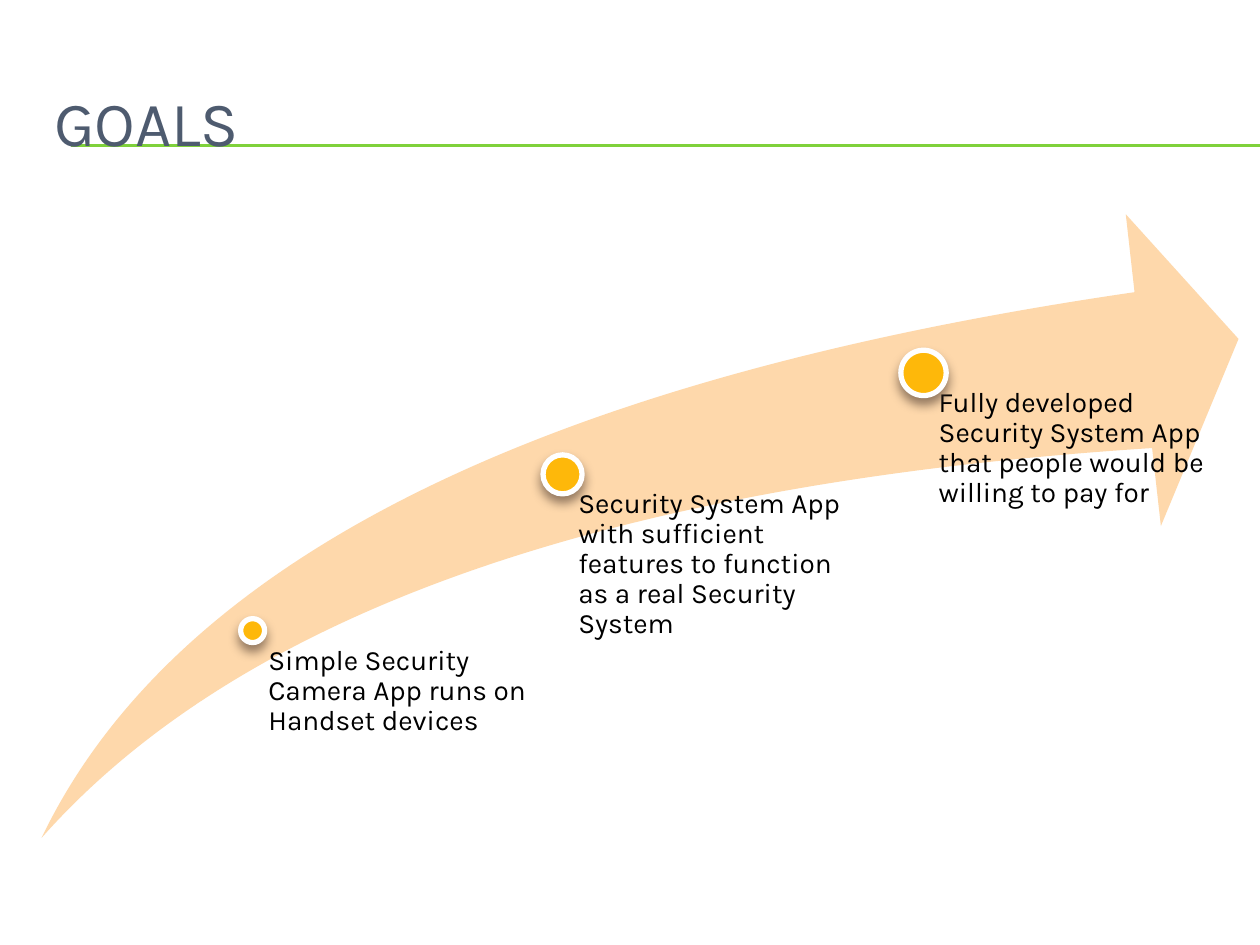
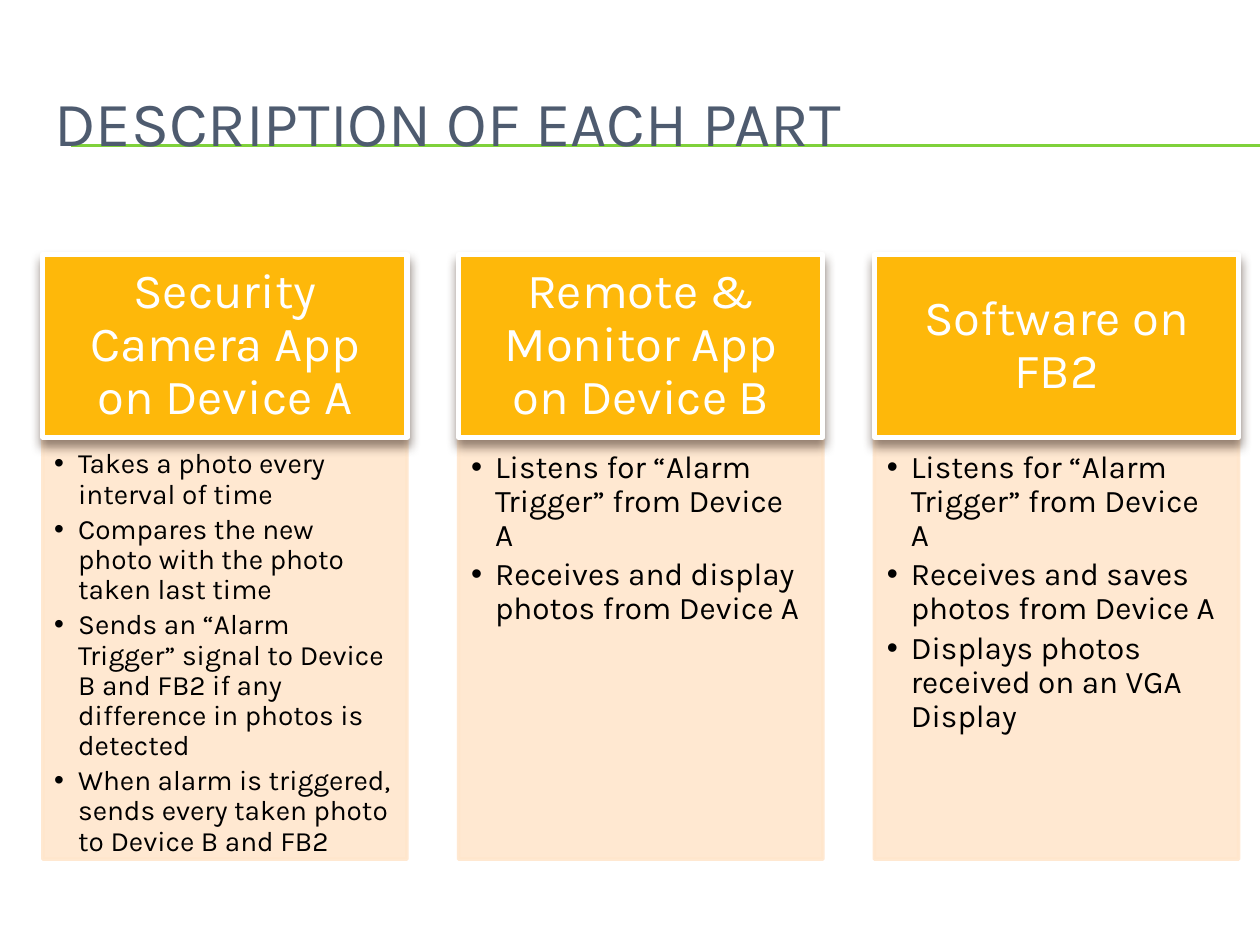
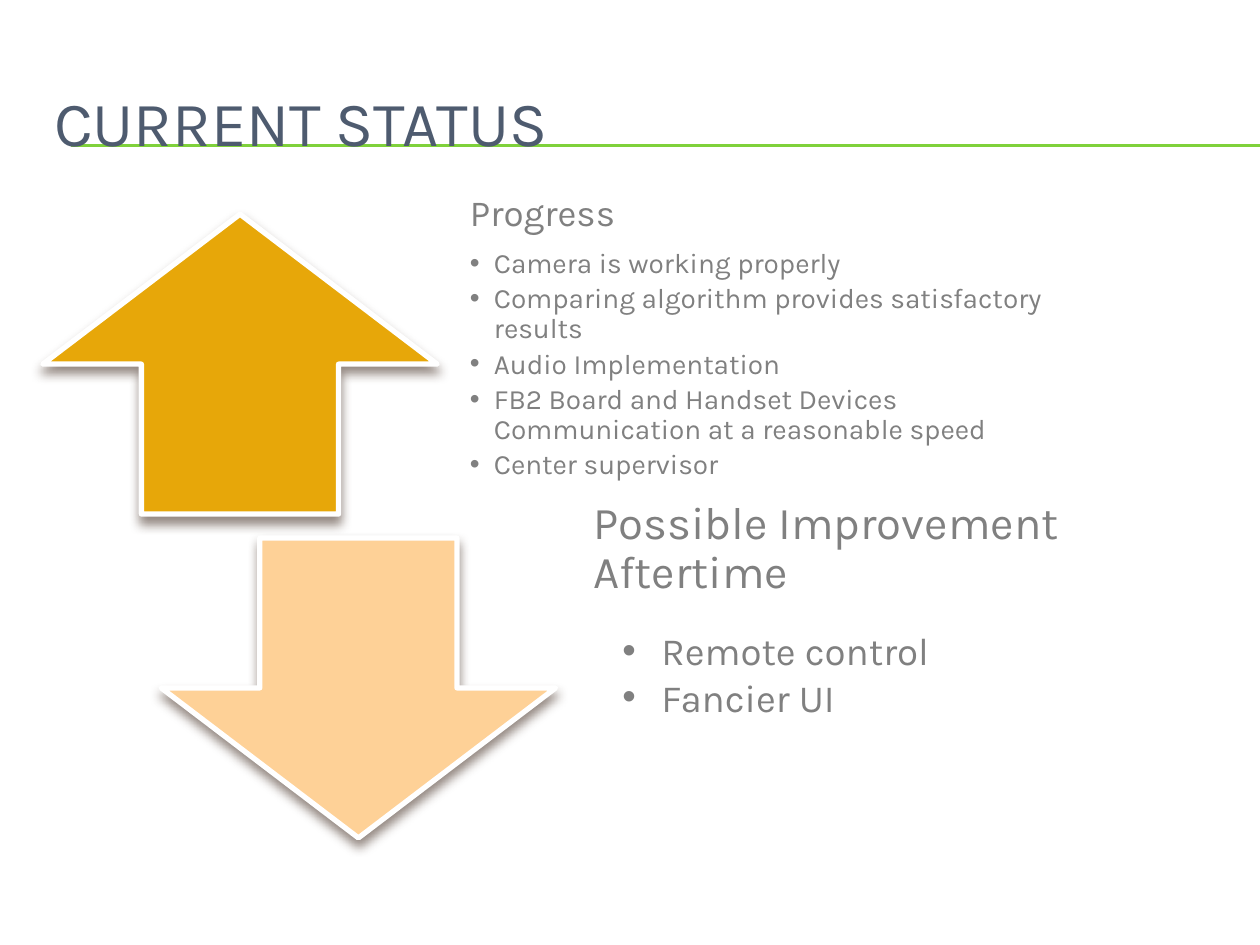
from dataclasses import dataclass

from lxml.etree import SubElement
from pptx import Presentation
from pptx.dml.color import RGBColor
from pptx.enum.shapes import MSO_CONNECTOR, MSO_SHAPE
from pptx.enum.text import MSO_ANCHOR, PP_ALIGN
from pptx.oxml.ns import qn
from pptx.util import Inches, Pt


@dataclass(frozen=True)
class Theme:
    font: str = "Karla"
    title: str = "4E5B6F"
    rule: str = "7FD13B"
    accent: str = "FEB80A"
    swoosh: str = "FED8AB"
    panel: str = "FFE6CC"
    up: str = "E7A709"
    down: str = "FED197"
    shadow: str = "4E3B30"
    ink: str = "000000"
    muted: str = "808080"
    white: str = "FFFFFF"
    title_size: int = 36
    header_size: int = 28
    subhead_size: int = 26
    list_size: int = 22
    lead_size: int = 21
    text_size: int = 18
    small_size: int = 16
    line_height: float = 1.17  # natural line height of the font, in ems


T = Theme()


@dataclass(frozen=True)
class Box:
    left: float
    top: float
    width: float
    height: float

    def emu(self) -> tuple:
        return tuple(Inches(v) for v in (self.left, self.top, self.width, self.height))


@dataclass(frozen=True)
class Para:
    text: str
    size: int
    color: str = T.ink
    align: PP_ALIGN = PP_ALIGN.LEFT
    spacing: float = 0.9
    after: float = 0.35  # share of a line
    indent: float = 0  # hanging bullet indent in inches
    level: int = 0


@dataclass(frozen=True)
class Milestone:
    text: str
    dot: Box
    label: Box


@dataclass(frozen=True)
class Column:
    header: str
    size: int
    insets: tuple
    points: tuple


# Shared helpers
def assign(obj, **values) -> None:
    for name, value in values.items():
        setattr(obj, name, value)


def bullet(text: str, size: int, color: str = T.ink) -> Para:
    return Para(text, size, color, after=0.15, indent=0.19, level=1)


def write(tf, paras: list, insets: tuple = (0.1, 0.05, 0.1, 0.05),
          anchor: MSO_ANCHOR = MSO_ANCHOR.TOP) -> None:
    sides = ("margin_left", "margin_top", "margin_right", "margin_bottom")
    assign(tf, word_wrap=True, vertical_anchor=anchor,
           **{side: Inches(v) for side, v in zip(sides, insets)})
    for i, para in enumerate(paras):
        p = tf.paragraphs[0] if i == 0 else tf.add_paragraph()
        assign(p, alignment=para.align, level=para.level, line_spacing=para.spacing,
               space_before=Pt(0),
               space_after=Pt(round(para.after * para.size * T.line_height, 1)))
        r = p.add_run()
        r.text = para.text
        assign(r.font, name=T.font, size=Pt(para.size))
        r.font.color.rgb = RGBColor.from_string(para.color)
        if para.indent:
            pPr = p._p.get_or_add_pPr()
            pPr.set("marL", str(Inches(para.indent)))
            pPr.set("indent", str(-Inches(para.indent)))
            SubElement(pPr, qn("a:buFont"), typeface="Arial")
            SubElement(pPr, qn("a:buChar"), char="•")


def add_text(slide, box: Box, paras: list, **frame) -> None:
    write(slide.shapes.add_textbox(*box.emu()).text_frame, paras, **frame)


def add_block(slide, kind: MSO_SHAPE, box: Box, fill: str, line: str = "",
              width: float = 3, shadow: bool = False, opacity: int = 100):
    sp = slide.shapes.add_shape(kind, *box.emu())
    sp.shadow.inherit = False
    sp.fill.solid()
    sp.fill.fore_color.rgb = RGBColor.from_string(fill)
    if line:
        sp.line.color.rgb = RGBColor.from_string(line)
        sp.line.width = Pt(width)
    else:
        sp.line.fill.background()
    spPr = sp.element.spPr
    if opacity < 100:
        for color in spPr.iter(qn("a:srgbClr")):
            SubElement(color, qn("a:alpha"), val=str(opacity * 1000))
    if shadow:
        outer = SubElement(spPr.find(qn("a:effectLst")), qn("a:outerShdw"),
                           blurRad=str(Pt(6)), dist=str(Pt(4)),
                           dir=str(90 * 60000), rotWithShape="0")
        color = SubElement(outer, qn("a:srgbClr"), val=T.shadow)
        SubElement(color, qn("a:alpha"), val="60000")
    return sp


def add_raised(slide, kind: MSO_SHAPE, box: Box, fill: str):
    return add_block(slide, kind, box, fill, T.white, shadow=True)


def add_rules(slide, layout) -> None:
    """Draw the title rules and move them to the layout all slides share."""
    for y in (1.15, 1.16):
        rule = slide.shapes.add_connector(
            MSO_CONNECTOR.STRAIGHT, Inches(0.56), Inches(y), Inches(10), Inches(y))
        rule.line.color.rgb = RGBColor.from_string(T.rule)
        rule.line.width = Pt(0.75)
        SubElement(rule.element.spPr, qn("a:effectLst"))
        layout.shapes.element.append(rule.element)


def add_slide(prs, title: str):
    slide = prs.slides.add_slide(prs.slide_layouts[5])
    sp = slide.shapes.title
    assign(sp, **dict(zip(("left", "top", "width", "height"),
                          Box(0.33, 0.5, 9.5, 0.92).emu())))
    write(sp.text_frame, [Para(title, T.title_size, T.title, spacing=1.0, after=0)],
          anchor=MSO_ANCHOR.MIDDLE)
    return slide


# Slide content
MILESTONES = (
    Milestone("Simple Security Camera App runs on Handset devices",
              Box(1.91, 4.91, 0.19, 0.19), Box(2.01, 5.01, 2.38, 1.29)),
    Milestone("Security System App with sufficient features to function "
              "as a real Security System",
              Box(4.31, 3.61, 0.31, 0.31), Box(4.47, 3.76, 2.38, 1.29)),
    Milestone("Fully developed Security System App that people would be "
              "willing to pay for",
              Box(7.15, 2.78, 0.36, 0.36), Box(7.33, 2.96, 2.38, 1.29)),
)

WIDE_INSETS = (0.1, 0.1, 0.14, 0.16)
COLUMNS = (
    Column("Security Camera App on Device A", T.small_size, (0.09, 0.09, 0.12, 0.14), (
        "Takes a photo every interval of time",
        "Compares the new photo with the photo taken last time",
        "Sends an “Alarm Trigger” signal to Device B and FB2 if any "
        "difference in photos is detected",
        "When alarm is triggered, sends every taken photo to Device B and FB2")),
    Column("Remote & Monitor App on Device B", T.text_size, WIDE_INSETS, (
        "Listens for “Alarm Trigger” from Device A",
        "Receives and display photos from Device A")),
    Column("Software on FB2", T.text_size, WIDE_INSETS, (
        "Listens for “Alarm Trigger” from Device A",
        "Receives and saves photos from Device A",
        "Displays photos received on an VGA Display")),
)

PROGRESS = (
    "Camera is working properly",
    "Comparing algorithm provides satisfactory results",
    "Audio Implementation",
    "FB2 Board and Handset Devices Communication at a reasonable speed",
    "Center supervisor",
)
IMPROVEMENTS = ("Remote control", "Fancier UI")


def build_goals(slide) -> None:
    add_block(slide, MSO_SHAPE.SWOOSH_ARROW, Box(0.33, 1.7, 9.5, 4.95), T.swoosh)
    for m in MILESTONES:
        add_text(slide, m.label, [Para(m.text, T.small_size)], insets=(0.12,) * 4)
        add_raised(slide, MSO_SHAPE.OVAL, m.dot, T.accent)


def build_parts(slide) -> None:
    for i, col in enumerate(COLUMNS):
        left = 0.34 + 3.3 * i
        body = add_block(slide, MSO_SHAPE.RECTANGLE, Box(left, 3.48, 2.89, 3.34),
                         T.panel, T.panel, width=2, opacity=90)
        write(body.text_frame, [bullet(t, col.size) for t in col.points], col.insets)
        head = add_raised(slide, MSO_SHAPE.RECTANGLE, Box(left, 2.02, 2.89, 1.45), T.accent)
        write(head.text_frame,
              [Para(col.header, T.header_size, T.white, PP_ALIGN.CENTER, after=0)],
              (0.22, 0.12, 0.22, 0.12), MSO_ANCHOR.MIDDLE)


def build_status(slide) -> None:
    # Progress, beside the arrow up
    add_raised(slide, MSO_SHAPE.UP_ARROW, Box(0.34, 1.7, 3.13, 2.38), T.up)
    add_text(slide, Box(3.57, 1.7, 5.32, 2.38),
             [Para("Progress", T.lead_size, T.muted)]
             + [bullet(t, T.small_size, T.muted) for t in PROGRESS],
             insets=(0.16, 0, 0.16, 0.42), anchor=MSO_ANCHOR.MIDDLE)
    # Improvements, beside the arrow down
    add_raised(slide, MSO_SHAPE.DOWN_ARROW, Box(1.28, 4.27, 3.13, 2.38), T.down)
    add_text(slide, Box(4.51, 3.97, 5.32, 0.9),
             [Para("Possible Improvement Aftertime", T.subhead_size, T.muted, after=0)],
             insets=(0.2, 0, 0.2, 0))
    add_text(slide, Box(4.84, 4.93, 4.09, 1.21),
             [Para(t, T.list_size, T.muted, spacing=1.0, after=0, indent=0.31)
              for t in IMPROVEMENTS])


prs = Presentation()
assign(prs, slide_width=Inches(10), slide_height=Inches(7.5))
for title, build in (("GOALS", build_goals),
                     ("DESCRIPTION OF EACH PART", build_parts),
                     ("CURRENT STATUS", build_status)):
    build(add_slide(prs, title))
add_rules(prs.slides[0], prs.slide_layouts[5])
prs.save("out.pptx")
